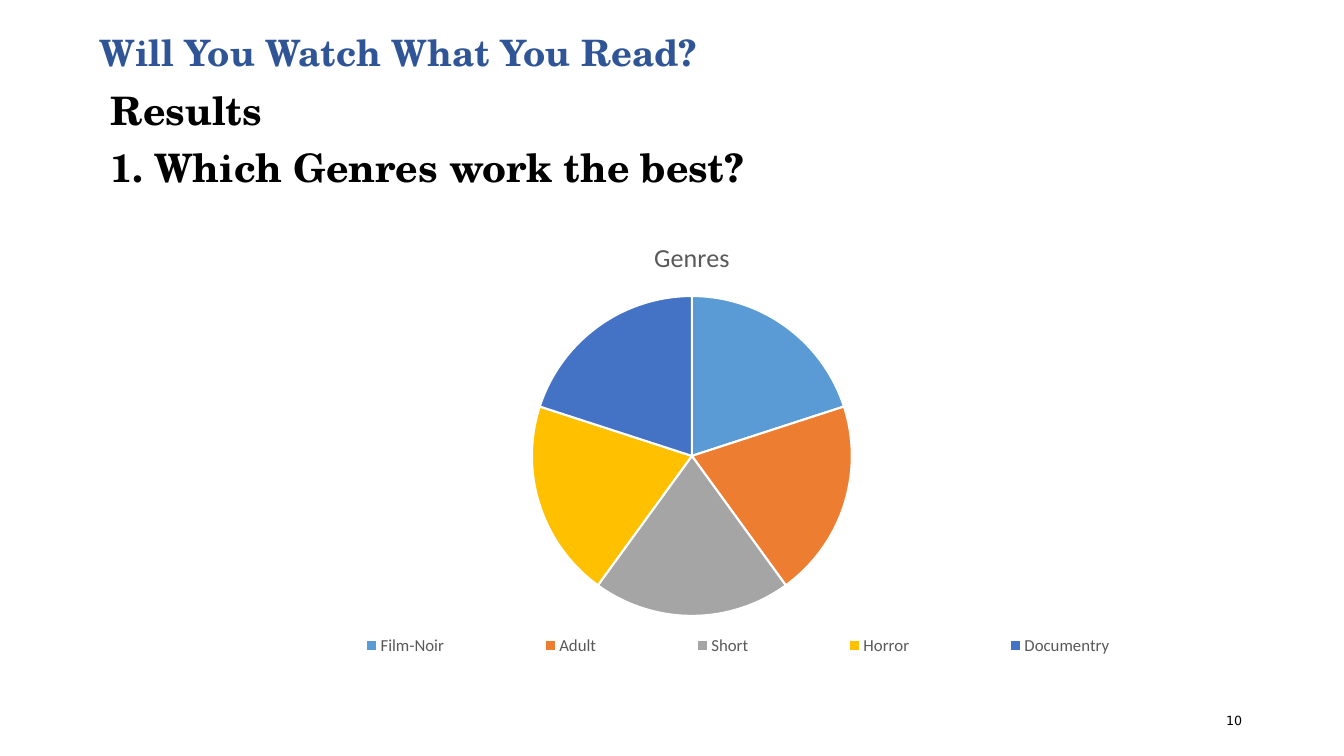
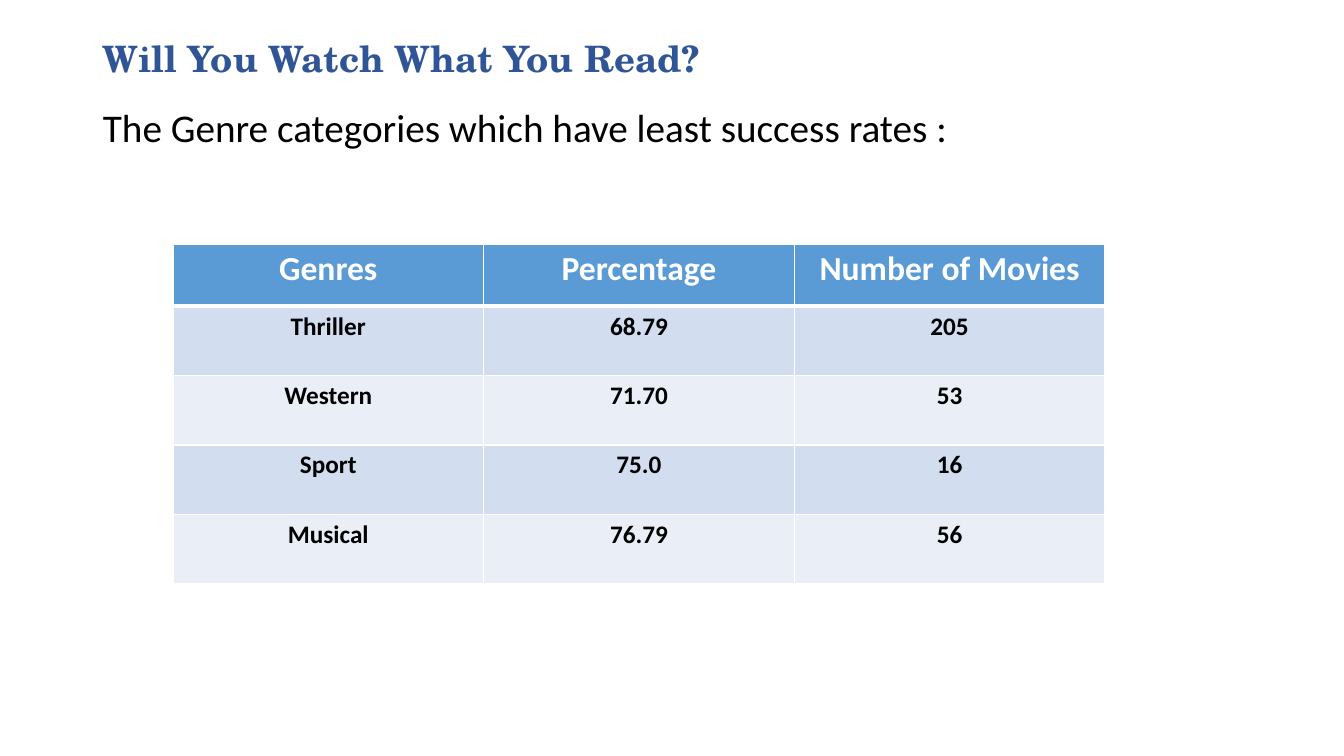
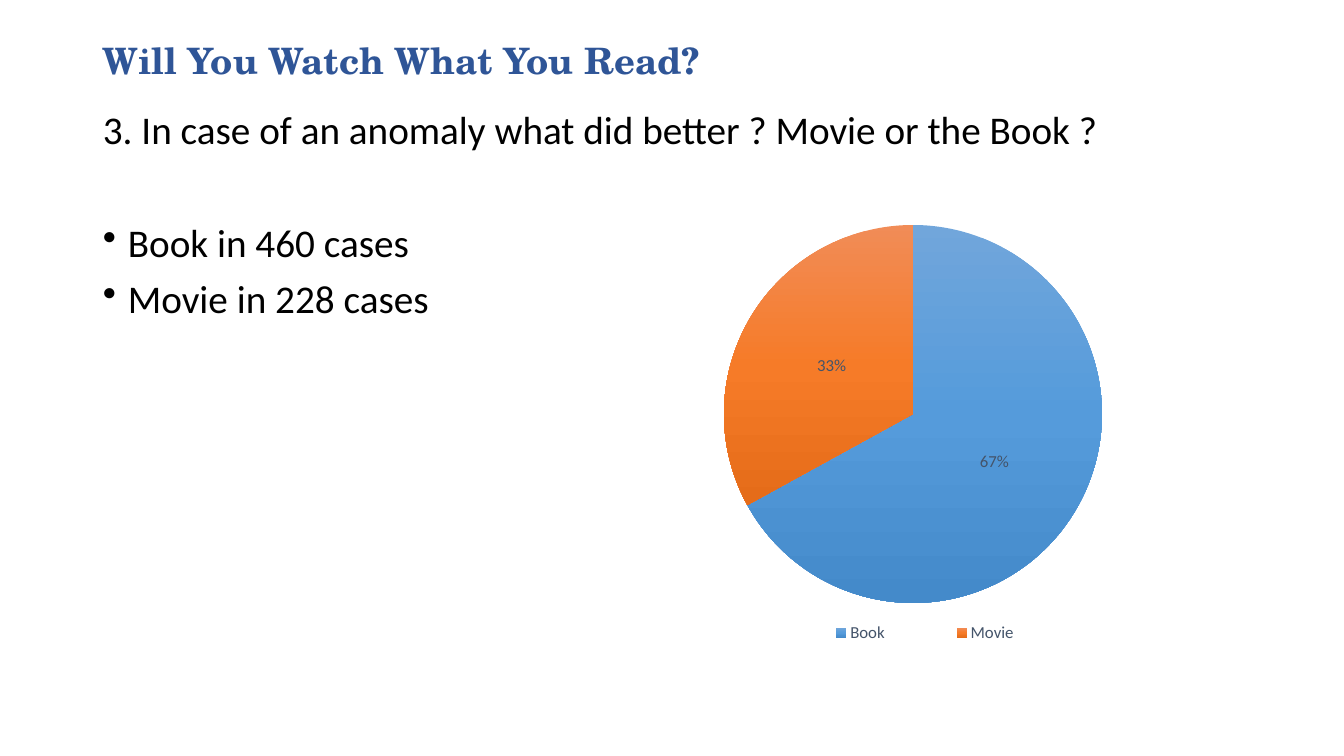
from copy import deepcopy

from lxml import etree
from pptx import Presentation
from pptx.chart.data import CategoryChartData
from pptx.dml.color import RGBColor
from pptx.enum.chart import XL_CHART_TYPE, XL_LABEL_POSITION, XL_LEGEND_POSITION
from pptx.enum.text import MSO_ANCHOR, PP_ALIGN
from pptx.oxml.ns import qn
from pptx.util import Emu, Pt

PIE = XL_CHART_TYPE.PIE
LEGEND_BOTTOM = XL_LEGEND_POSITION.BOTTOM
LABEL_CENTER = XL_LABEL_POSITION.CENTER
TOP, MIDDLE = MSO_ANCHOR.TOP, MSO_ANCHOR.MIDDLE
LEFT, CENTER, RIGHT = PP_ALIGN.LEFT, PP_ALIGN.CENTER, PP_ALIGN.RIGHT

# Shared style
EMU_PER_PIXEL = 914400 / 100.8
SERIF, SANS, NUMBER_FONT = "TeX Gyre Schola", "Calibri", "DejaVu Sans"
BLACK, WHITE, TITLE_BLUE = "000000", "FFFFFF", "2F5597"
GRAY, SLATE = "595959", "44546A"
HEADER_BLUE, BANDS = "5B9BD5", ("D2DEEF", "EAEFF7")
DECK_TITLE = "Will You Watch What You Read?"


def px(pixels):
    return Emu(round(pixels * EMU_PER_PIXEL))


def rgb(value):
    return RGBColor.from_string(value)


def style_font(font, size, color, name=SANS, bold=False):
    font.size, font.name, font.bold = Pt(size), name, bold
    font.color.rgb = rgb(color)


def write_text(frame, text, size=28, color=BLACK, font=SANS, bold=False,
               align=LEFT, anchor=TOP, line_spacing=None, before=0):
    """Fill a text frame, one paragraph for each line of text."""
    frame.word_wrap = True
    frame.vertical_anchor = anchor
    for number, line in enumerate(text.split("\n")):
        para = frame.add_paragraph() if number else frame.paragraphs[0]
        para.alignment = align
        para.space_before = Pt(before)
        if line_spacing:
            para.line_spacing = line_spacing
        span = para.add_run()
        span.text = line
        style_font(span.font, size, color, font, bold)


def add_text(slide, text, at, **text_format):
    box = slide.shapes.add_textbox(*map(px, at))
    write_text(box.text_frame, text, **text_format)
    return box.text_frame


def add_title(slide, at):
    add_text(slide, DECK_TITLE, at, size=26, color=TITLE_BLUE, font=SERIF,
             bold=True, anchor=MIDDLE, line_spacing=0.9)


def add_body(slide, text, at, **text_format):
    return add_text(slide, text, at, line_spacing=0.9, before=10, **text_format)


def add_bullet(para):
    properties = para._p.get_or_add_pPr()
    properties.set("marL", str(px(25)))
    properties.set("indent", str(-px(25)))
    etree.SubElement(properties, qn("a:buChar"), char="•")


# Tables
def set_border(cell, side, width):
    properties = cell._tc.get_or_add_tcPr()
    line = etree.SubElement(properties, qn("a:ln" + side), w=str(Pt(width)))
    fill = etree.SubElement(line, qn("a:solidFill"))
    etree.SubElement(fill, qn("a:srgbClr"), val=WHITE)


def add_table(slide, rows, at, header_height):
    left, top, width, height = map(px, at)
    table = slide.shapes.add_table(
        len(rows), len(rows[0]), left, top, width, height).table
    table.first_row = table.horz_banding = False
    for column in table.columns:
        column.width = Emu(width // len(rows[0]))
    body_height = (height - px(header_height)) // (len(rows) - 1)
    for index, values in enumerate(rows):
        header = index == 0
        table.rows[index].height = px(header_height) if header else Emu(body_height)
        for column, value in enumerate(values):
            cell = table.cell(index, column)
            write_text(cell.text_frame, value, size=24 if header else 18,
                       color=WHITE if header else BLACK, bold=True, align=CENTER)
            for side in "LRTB" if header else "LRB":
                set_border(cell, side, 3 if header and side == "B" else 1)
            cell.fill.solid()
            cell.fill.fore_color.rgb = rgb(
                HEADER_BLUE if header else BANDS[(index - 1) % 2])


# Charts
def set_layout(parent, index, area, chart_at, inner=False):
    """Place a chart part at a pixel area of the slide."""
    for old in parent.findall(qn("c:layout")):
        parent.remove(old)
    layout = etree.Element(qn("c:layout"))
    manual = etree.SubElement(layout, qn("c:manualLayout"))
    if inner:
        etree.SubElement(manual, qn("c:layoutTarget"), val="inner")
    for axis in "xy":
        etree.SubElement(manual, qn(f"c:{axis}Mode"), val="edge")
    left, top, width, height = chart_at
    fractions = ((area[0] - left) / width, (area[1] - top) / height,
                 area[2] / width, area[3] / height)
    for key, fraction in zip("xywh", fractions):
        etree.SubElement(manual, qn("c:" + key), val=f"{fraction:.4f}")
    parent.insert(index, layout)


def fill_gradient(fill, colors):
    fill.gradient()
    fill.gradient_angle = 270
    first = fill.gradient_stops[0]._gs
    first.addnext(deepcopy(first))
    for stop, position, color in zip(fill.gradient_stops, (0, 0.5, 1), colors):
        stop.position = position
        stop.color.rgb = rgb(color)


def add_pie(slide, name, slices, at, pie_area, legend_area, text_color):
    """Draw a pie; each slice is (category, value, colors)."""
    data = CategoryChartData()
    data.categories = [category for category, _, _ in slices]
    data.add_series(name, [value for _, value, _ in slices])
    chart = slide.shapes.add_chart(PIE, *map(px, at), data).chart
    style_font(chart.font, 10, BLACK)
    chart.has_title = False
    chart.has_legend = True
    chart.legend.position = LEGEND_BOTTOM
    chart.legend.include_in_layout = False
    style_font(chart.legend.font, 12, text_color)
    set_layout(chart.legend._element, 1, legend_area, at)
    plot = chart.plots[0]
    plot.vary_by_categories = True
    set_layout(plot._element.getparent(), 0, pie_area, at, inner=True)
    for index, (_, _, colors) in enumerate(slices):
        part = plot.series[0].points[index].format
        if len(colors) == 1:
            part.fill.solid()
            part.fill.fore_color.rgb = rgb(colors[0])
            part.line.width = Pt(1.5)
            part.line.color.rgb = rgb(WHITE)
        else:
            fill_gradient(part.fill, colors)
            part.line.fill.background()
    return chart


def add_chart_title(chart, text):
    chart.has_title = True
    frame = chart.chart_title.text_frame
    frame.text = text
    style_font(frame.paragraphs[0].runs[0].font, 18.6, GRAY)
    chart.chart_title.include_in_layout = False


def add_percent_labels(chart):
    plot = chart.plots[0]
    plot.has_data_labels = True
    labels = plot.data_labels
    labels.show_percentage, labels.show_value = True, False
    labels.number_format, labels.number_format_is_linked = "0%", False
    labels.position = LABEL_CENTER
    style_font(labels.font, 12, SLATE)


# Slides
def build_best_genres(slide):
    add_title(slide, (90, 40, 1162, 30))
    add_body(slide, "Results\n1. Which Genres work the best?",
             (101, 87, 1099, 627), font=SERIF, bold=True)
    add_text(slide, "10", (950, 701, 302, 40), size=9, font=NUMBER_FONT,
             align=RIGHT, anchor=MIDDLE)
    genres = [
        ("Film-Noir", 20, ["5B9BD5"]),
        ("Adult", 20, ["ED7D31"]),
        ("Short", 20, ["A5A5A5"]),
        ("Horror", 20, ["FFC000"]),
        ("Documentry", 20, ["4472C4"]),
    ]
    chart = add_pie(slide, "Genres", genres, (118, 220, 1148, 447),
                    (532, 296, 320, 320), (271, 630, 934, 32), GRAY)
    add_chart_title(chart, "Genres")


def build_least_success(slide):
    add_title(slide, (93, 40, 1159, 42))
    add_body(slide, "The Genre categories which have least success rates :",
             (93, 104, 1159, 558))
    rows = [
        ("Genres", "Percentage", "Number of Movies"),
        ("Thriller", "68.79", "205"),
        ("Western", "71.70", "53"),
        ("Sport", "75.0", "16"),
        ("Musical", "76.79", "56"),
    ]
    add_table(slide, rows, (173, 244, 932, 340), header_height=62)


def build_movie_or_book(slide):
    add_title(slide, (93, 40, 1159, 46))
    body = add_body(
        slide,
        "3. In case of an anomaly what did better ? Movie or the Book ?\n"
        "Book in 460 cases\nMovie in 228 cases",
        (93, 106, 1159, 576))
    cases = body.paragraphs[1:]
    cases[0].space_before = Pt(50)
    for para in cases:
        add_bullet(para)
    winners = [
        ("Book", 67, ["71A6DB", "559BDB", "448ACA"]),
        ("Movie", 33, ["F18C57", "F67B28", "E56C19"]),
    ]
    chart = add_pie(slide, "Series 1", winners, (590, 211, 648, 440),
                    (724, 225, 378, 378), (770, 617, 310, 32), SLATE)
    add_percent_labels(chart)


def main():
    deck = Presentation()
    deck.slide_width, deck.slide_height = px(1344), px(756)
    blank = deck.slide_layouts[6]
    for build in (build_best_genres, build_least_success, build_movie_or_book):
        build(deck.slides.add_slide(blank))
    deck.save("out.pptx")


main()
